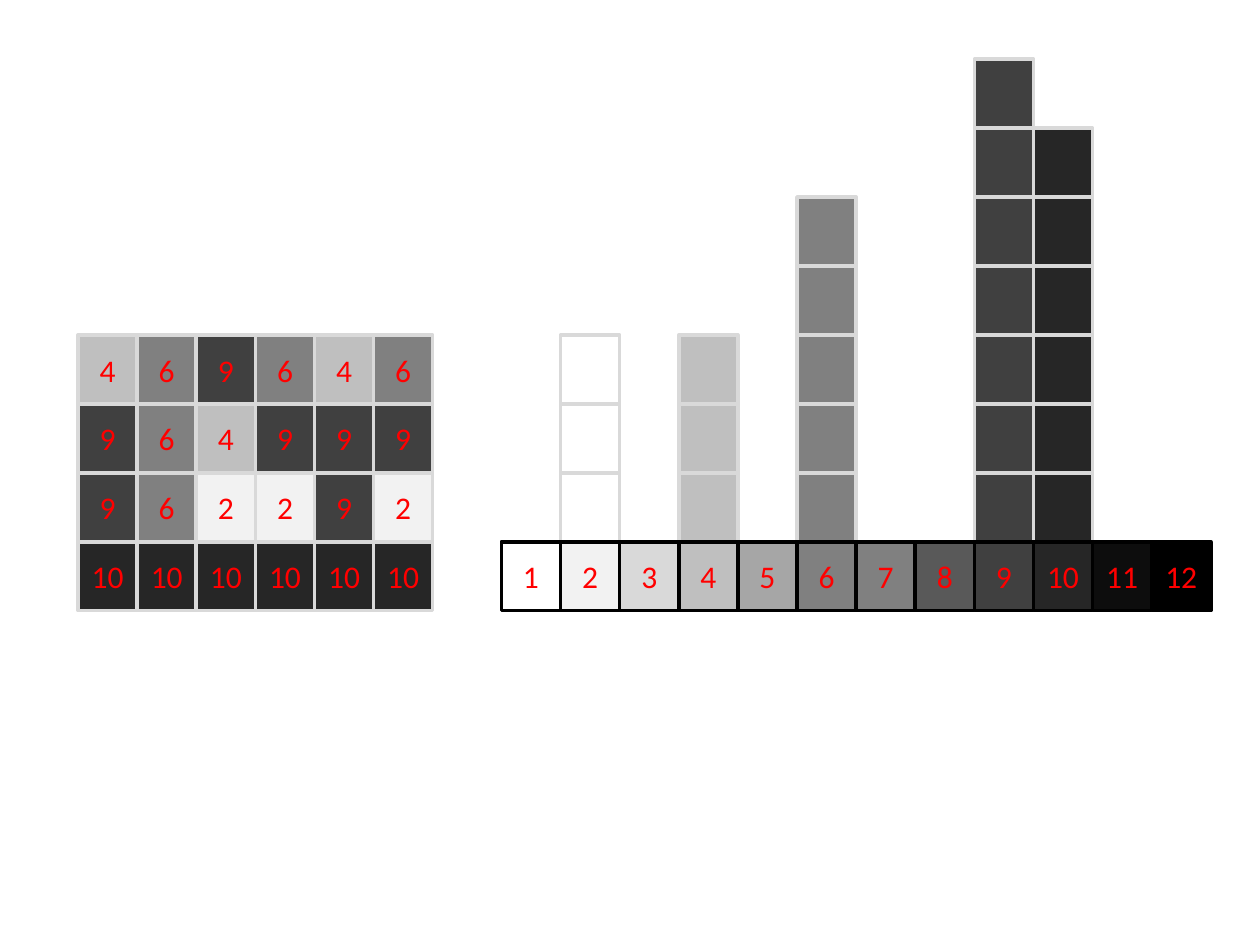
from collections import Counter
from dataclasses import dataclass

from pptx import Presentation
from pptx.dml.color import RGBColor
from pptx.enum.shapes import MSO_SHAPE
from pptx.enum.text import MSO_ANCHOR, PP_ALIGN
from pptx.slide import Slide
from pptx.util import Inches, Pt

WHITE = RGBColor(0xFF, 0xFF, 0xFF)
BLACK = RGBColor(0x00, 0x00, 0x00)
RED = RGBColor(0xFF, 0x00, 0x00)
LIGHT_GRAY = RGBColor(0xD9, 0xD9, 0xD9)

# Shades for gray levels 1 to 12
GRAY_LEVELS = [
    RGBColor(shade, shade, shade)
    for shade in (0xFF, 0xF2, 0xD9, 0xBF, 0xA6, 0x80,
                  0x80, 0x59, 0x40, 0x26, 0x0D, 0x00)
]

IMAGE_LEVELS = [
    [4, 6, 9, 6, 4, 6],
    [9, 6, 4, 9, 9, 9],
    [9, 6, 2, 2, 9, 2],
    [10, 10, 10, 10, 10, 10],
]

CELL_WIDTH = 5.63 / 12
CELL_HEIGHT = 3.83 / 7
IMAGE_LEFT = 0.62
SCALE_LEFT = 3.98
BASE_TOP = 4.3


@dataclass
class Cell:
    left: float
    rows_above_base: int
    fill: RGBColor
    outline: RGBColor = LIGHT_GRAY
    label: str = ""


def histogram_cells() -> list[Cell]:
    """Stack one cell per image pixel above its gray level."""
    counts = Counter(level for row in IMAGE_LEVELS for level in row)
    return [
        Cell(SCALE_LEFT + (level - 1) * CELL_WIDTH, height,
             WHITE if level == 2 else GRAY_LEVELS[level - 1])
        for level, count in sorted(counts.items())
        for height in range(1, count + 1)
    ]


def scale_cells() -> list[Cell]:
    return [
        Cell(SCALE_LEFT + index * CELL_WIDTH, 0, fill, BLACK, str(index + 1))
        for index, fill in enumerate(GRAY_LEVELS)
    ]


def image_cells() -> list[Cell]:
    return [
        Cell(IMAGE_LEFT + column * CELL_WIDTH, height,
             GRAY_LEVELS[level - 1], label=str(level))
        for height, row in enumerate(reversed(IMAGE_LEVELS))
        for column, level in enumerate(row)
    ]


def draw_cell(page: Slide, cell: Cell) -> None:
    top = BASE_TOP - cell.rows_above_base * CELL_HEIGHT
    box = page.shapes.add_shape(
        MSO_SHAPE.RECTANGLE, Inches(cell.left), Inches(top),
        Inches(CELL_WIDTH), Inches(CELL_HEIGHT))
    box.shadow.inherit = False
    box.fill.solid()
    box.fill.fore_color.rgb = cell.fill
    box.line.color.rgb = cell.outline
    box.line.width = Pt(2)
    if cell.label:
        write_text(box, cell.label, size=18, color=RED)


def write_text(box, text: str, *, size: float, color: RGBColor,
               font: str = "Calibri") -> None:
    frame = box.text_frame
    frame.margin_left = frame.margin_right = 0
    frame.vertical_anchor = MSO_ANCHOR.MIDDLE
    para = frame.paragraphs[0]
    para.alignment = PP_ALIGN.CENTER
    span = para.add_run()
    span.text = text
    span.font.size = Pt(size)
    span.font.name = font
    span.font.color.rgb = color


def main() -> None:
    deck = Presentation()
    deck.slide_width = Inches(10)
    deck.slide_height = Inches(7.5)
    page = deck.slides.add_slide(deck.slide_layouts[6])
    for cell in histogram_cells() + scale_cells() + image_cells():
        draw_cell(page, cell)
    deck.save("out.pptx")


if __name__ == "__main__":
    main()
